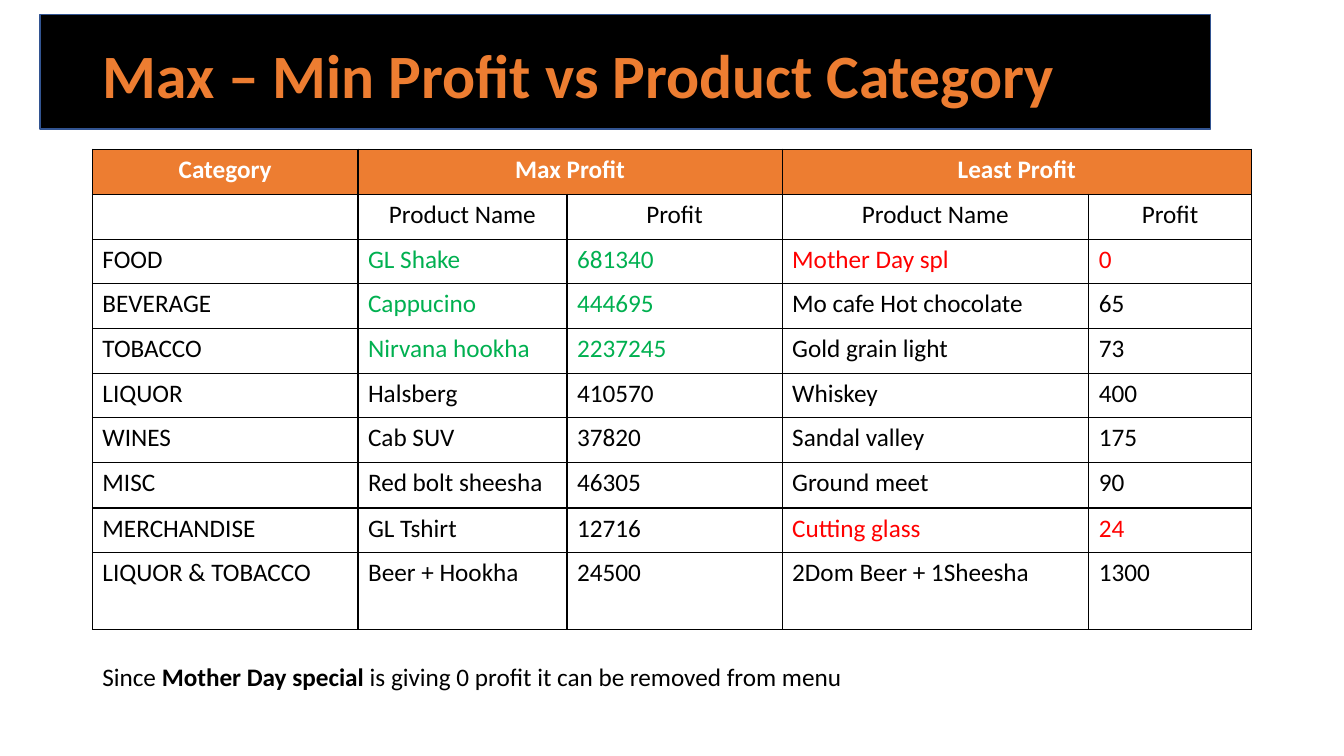
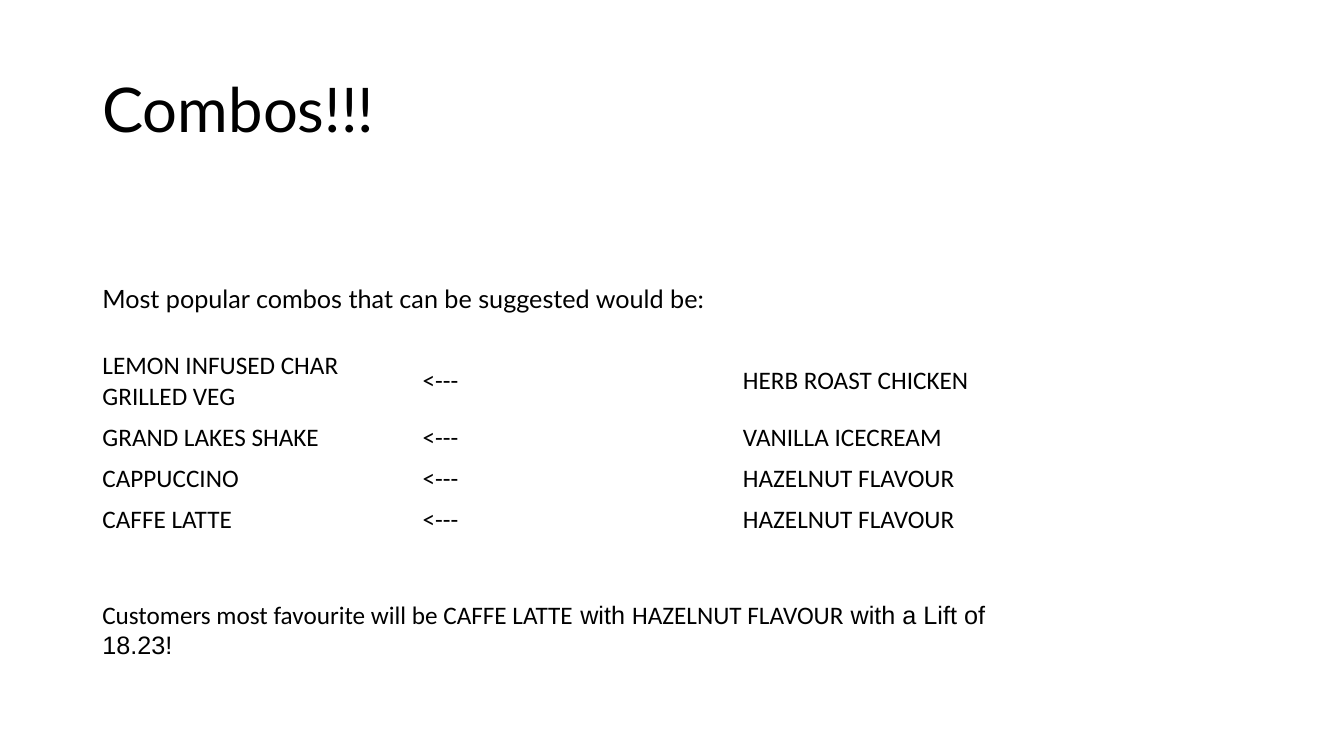
import itertools

import pptx
import pptx.dml.color
import pptx.enum.shapes
import pptx.enum.text
import pptx.oxml
import pptx.oxml.ns
import pptx.util

PX = 9525
BLACK, WHITE, ORANGE = "000000", "FFFFFF", "ED7D31"
GREEN, RED, NAVY = "00B050", "FF0000", "325491"
LEFT, WIDTH = 88, 1104
PLAIN_STYLE = "{2D5ABB26-0587-4C30-8999-92F81FD0307C}"
BODY = {"size": pptx.util.Pt(18), "name": "Calibri", "bold": False}
TITLE = {"size": pptx.util.Pt(44), "name": "Calibri", "bold": False}
MIDDLE = pptx.enum.text.MSO_ANCHOR.MIDDLE
TOP = pptx.enum.text.MSO_ANCHOR.TOP
CENTER = pptx.enum.text.PP_ALIGN.CENTER
START = pptx.enum.text.PP_ALIGN.LEFT

PROFITS = [
    ("FOOD", "GL Shake", "681340", GREEN, "Mother Day spl", "0", RED),
    ("BEVERAGE", "Cappucino", "444695", GREEN, "Mo cafe Hot chocolate", "65", BLACK),
    ("TOBACCO", "Nirvana hookha", "2237245", GREEN, "Gold grain light", "73", BLACK),
    ("LIQUOR", "Halsberg", "410570", BLACK, "Whiskey", "400", BLACK),
    ("WINES", "Cab SUV", "37820", BLACK, "Sandal valley", "175", BLACK),
    ("MISC", "Red bolt sheesha", "46305", BLACK, "Ground meet", "90", BLACK),
    ("MERCHANDISE", "GL Tshirt", "12716", BLACK, "Cutting glass", "24", RED),
    ("LIQUOR & TOBACCO", "Beer + Hookha", "24500", BLACK,
     "2Dom Beer + 1Sheesha", "1300", BLACK),
]
COMBOS = [
    ("LEMON INFUSED CHAR GRILLED VEG", "HERB ROAST CHICKEN"),
    ("GRAND LAKES SHAKE", "VANILLA ICECREAM"),
    ("CAPPUCCINO", "HAZELNUT FLAVOUR"),
    ("CAFFE LATTE", "HAZELNUT FLAVOUR"),
]


def rgb(value):
    return pptx.dml.color.RGBColor.from_string(value)


def emu(box):
    return [length * PX for length in box]


def apply_format(target, values):
    for name, value in values.items():
        setattr(target, name, value)


def add_span(para, text, color=BLACK, base=BODY, **changes):
    span = para.add_run()
    span.text = text
    apply_format(span.font, {**base, **changes})
    span.font.color.rgb = rgb(color)


def add_page(deck, title, box, color=BLACK, **changes):
    page = deck.slides.add_slide(deck.slide_layouts.get_by_name("Title Only"))
    shape = page.shapes.title
    apply_format(shape, dict(zip(("left", "top", "width", "height"), emu(box))))
    apply_format(shape.text_frame, {
        "vertical_anchor": MIDDLE,
        "word_wrap": True,
        "auto_size": pptx.enum.text.MSO_AUTO_SIZE.NONE,
    })
    para = shape.text_frame.paragraphs[0]
    apply_format(para, {"alignment": START, "line_spacing": 0.9})
    add_span(para, title, color, TITLE, **changes)
    return page


def add_band(page, box):
    band = page.shapes.add_shape(pptx.enum.shapes.MSO_SHAPE.RECTANGLE, *emu(box))
    band.shadow.inherit = False
    band.fill.solid()
    band.fill.fore_color.rgb = rgb(BLACK)
    band.line.color.rgb = rgb(NAVY)
    band.line.width = pptx.util.Pt(1)
    page.shapes.title.element.addprevious(band.element)


def add_text(page, box, spans):
    frame = page.shapes.add_textbox(*emu(box)).text_frame
    frame.word_wrap = True
    for text, changes in spans:
        add_span(frame.paragraphs[0], text, **changes)


def add_table(page, left, top, widths, heights):
    box = emu((left, top, sum(widths), sum(heights)))
    table = page.shapes.add_table(len(heights), len(widths), *box).table
    apply_format(table, {"first_row": False, "horz_banding": False})
    table._tbl.tblPr.find(pptx.oxml.ns.qn("a:tableStyleId")).text = PLAIN_STYLE
    for column, width in zip(table.columns, widths):
        column.width = width * PX
    for row, height in zip(table.rows, heights):
        row.height = height * PX
    for cell in table.iter_cells():
        cell.fill.background()
    return table


def fill_cell(cell, text, color=BLACK, align=START, anchor=TOP, **changes):
    cell.vertical_anchor = anchor
    para = cell.text_frame.paragraphs[0]
    para.alignment = align
    add_span(para, text, color, **changes)


def add_borders(cell):
    for index, side in enumerate(("lnL", "lnR", "lnT", "lnB")):
        line = pptx.oxml.parse_xml(
            f'<a:{side} {pptx.oxml.ns.nsdecls("a")} w="12700"><a:solidFill>'
            f'<a:srgbClr val="{BLACK}"/></a:solidFill></a:{side}>')
        cell._tc.get_or_add_tcPr().insert(index, line)


def add_profit_table(page, left, top):
    heights = [43, 43, 42] * 3 + [74]
    table = add_table(page, left, top, [253, 199, 205, 292, 155], heights)
    for column in (1, 3):
        table.cell(0, column).merge(table.cell(0, column + 1))
    for column, text in ((0, "Category"), (1, "Max Profit"), (3, "Least Profit")):
        fill_cell(table.cell(0, column), text, WHITE, CENTER, bold=True)
    for column, text in enumerate(("Product Name", "Profit") * 2, 1):
        fill_cell(table.cell(1, column), text, align=CENTER)
    for row, record in enumerate(PROFITS, 2):
        category, best, most, best_color, worst, least, worst_color = record
        texts = (category, best, most, worst, least)
        colors = (BLACK, best_color, best_color, worst_color, worst_color)
        for column, (text, color) in enumerate(zip(texts, colors)):
            fill_cell(table.cell(row, column), text, color)
    for row, column in itertools.product(range(len(heights)), range(5)):
        cell = table.cell(row, column)
        if row == 0:
            cell.fill.solid()
            cell.fill.fore_color.rgb = rgb(ORANGE)
        add_borders(cell)


def add_combo_table(page, left, top):
    table = add_table(page, left, top, [305] * 3, [68, 39, 39, 39])
    for row, (item, partner) in enumerate(COMBOS):
        for column, text in enumerate((item, "<---", partner)):
            fill_cell(table.cell(row, column), text, anchor=MIDDLE)


def profit_page(deck):
    page = add_page(deck, "Max – Min Profit vs Product Category",
                    (LEFT, 38, WIDTH, 73), ORANGE, bold=True)
    add_band(page, (38, 14, 1115, 109))
    add_profit_table(page, LEFT, 142)
    add_text(page, (LEFT, 625, WIDTH, 38), [
        ("Since ", {}),
        ("Mother Day special ", {"bold": True}),
        ("is giving 0 profit it can be removed from menu", {}),
    ])


def combo_page(deck):
    page = add_page(deck, "Combos!!!", (LEFT, 38, WIDTH, 139), name="Lato")
    add_combo_table(page, LEFT, 329)
    add_text(page, (LEFT, 265, 678, 38), [
        ("Most popular combos that can be suggested would be:", {"name": "Lato"}),
    ])
    add_text(page, (LEFT, 566, 868, 68), [
        ("Customers most favourite will be CAFFE LATTE", {}),
        (" with ", {"name": "Arial"}),
        ("HAZELNUT FLAVOUR", {}),
        (" with a Lift of 18.23!", {"name": "Arial"}),
    ])


def main():
    deck = pptx.Presentation()
    apply_format(deck, {"slide_width": 1280 * PX, "slide_height": 720 * PX})
    profit_page(deck)
    combo_page(deck)
    deck.save("out.pptx")


if __name__ == "__main__":
    main()
